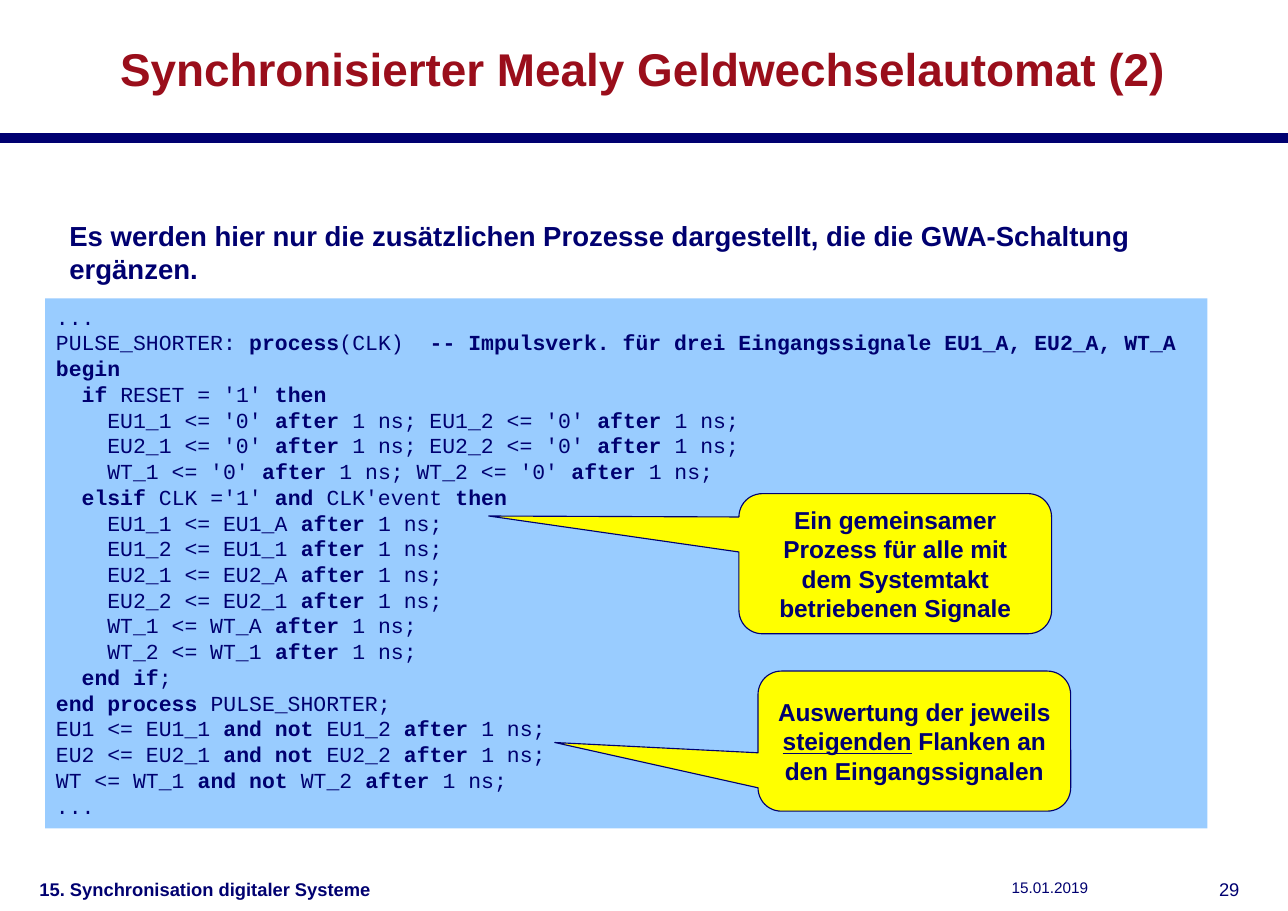
from dataclasses import dataclass

from lxml.etree import SubElement
from pptx import Presentation
from pptx.dml.color import RGBColor
from pptx.enum.shapes import MSO_CONNECTOR, MSO_SHAPE
from pptx.enum.text import MSO_ANCHOR, PP_ALIGN
from pptx.oxml.ns import qn
from pptx.shapes.base import BaseShape
from pptx.slide import Slide
from pptx.text.text import TextFrame
from pptx.util import Cm, Pt


@dataclass(frozen=True)
class Theme:
    navy: RGBColor = RGBColor(0x00, 0x00, 0x70)
    red: RGBColor = RGBColor(0x9A, 0x0E, 0x1B)
    code_fill: RGBColor = RGBColor(0x99, 0xCC, 0xFF)
    callout_fill: RGBColor = RGBColor(0xFF, 0xFF, 0x00)
    sans: str = "Arial"
    mono: str = "Courier New"
    title_size: int = 30
    body_size: int = 18
    callout_size: int = 16
    code_size: int = 14
    footer_size: int = 12
    date_size: int = 10


THEME = Theme()


@dataclass(frozen=True)
class Box:
    left: float
    top: float
    width: float
    height: float

    def lengths(self) -> tuple[Cm, Cm, Cm, Cm]:
        return Cm(self.left), Cm(self.top), Cm(self.width), Cm(self.height)


@dataclass(frozen=True)
class Style:
    size: int
    color: RGBColor = THEME.navy
    font: str = THEME.sans
    bold: bool | None = True
    align: PP_ALIGN = PP_ALIGN.LEFT
    anchor: MSO_ANCHOR = MSO_ANCHOR.TOP
    mark: str = "bold"  # run attribute switched on between asterisks


@dataclass(frozen=True)
class Label:
    text: str
    box: Box
    style: Style


@dataclass(frozen=True)
class Callout:
    text: str
    left: float
    top: float
    tip: tuple[float, float]


TITLE = Style(THEME.title_size, THEME.red, align=PP_ALIGN.CENTER,
              anchor=MSO_ANCHOR.MIDDLE)
CODE = Style(THEME.code_size, font=THEME.mono, bold=None)
CALLOUT = Style(THEME.callout_size, align=PP_ALIGN.CENTER,
                anchor=MSO_ANCHOR.MIDDLE, mark="underline")

LABELS = [
    Label("Es werden hier nur die zusätzlichen Prozesse dargestellt, "
          "die die GWA-Schaltung ergänzen.",
          Box(1.35, 4.9, 27, 1.8),
          Style(THEME.body_size, anchor=MSO_ANCHOR.MIDDLE)),
    Label("15. Synchronisation digitaler Systeme",
          Box(0.66, 20.12, 8.41, 0.89), Style(THEME.footer_size)),
    Label("15.01.2019", Box(23.08, 20.12, 4.19, 0.89),
          Style(THEME.date_size, bold=False)),
    Label("29", Box(27.64, 20.12, 1.19, 0.89),
          Style(THEME.footer_size, bold=False, align=PP_ALIGN.RIGHT)),
]

# Asterisks enclose the bold parts of the listing
LISTING = """...
PULSE_SHORTER: *process*(CLK)  *-- Impulsverk. für drei Eingangssignale EU1_A, EU2_A, WT_A*
*begin*
  *if* RESET = '1' *then*
    EU1_1 <= '0' *after* 1 ns; EU1_2 <= '0' *after* 1 ns;
    EU2_1 <= '0' *after* 1 ns; EU2_2 <= '0' *after* 1 ns;
    WT_1 <= '0' *after* 1 ns; WT_2 <= '0' *after* 1 ns;
  *elsif* CLK ='1' *and* CLK'event *then*
    EU1_1 <= EU1_A *after* 1 ns;
    EU1_2 <= EU1_1 *after* 1 ns;
    EU2_1 <= EU2_A *after* 1 ns;
    EU2_2 <= EU2_1 *after* 1 ns;
    WT_1 <= WT_A *after* 1 ns;
    WT_2 <= WT_1 *after* 1 ns;
  *end if*;
*end process* PULSE_SHORTER;
EU1 <= EU1_1 *and not* EU1_2 *after* 1 ns;
EU2 <= EU2_1 *and not* EU2_2 *after* 1 ns;
WT <= WT_1 *and not* WT_2 *after* 1 ns;
..."""

CALLOUTS = [
    Callout("Ein gemeinsamer Prozess für alle mit dem Systemtakt "
            "betriebenen Signale", 17.04, 11.38, (-1.3, -0.34)),
    Callout("Auswertung der jeweils *steigenden* Flanken an den "
            "Eingangssignalen", 17.48, 15.47, (-1.15, 0.01)),
]


def write(tf: TextFrame, text: str, style: Style) -> None:
    tf.word_wrap = True
    tf.vertical_anchor = style.anchor
    for i, line in enumerate(text.split("\n")):
        p = tf.add_paragraph() if i else tf.paragraphs[0]
        p.alignment = style.align
        p.space_before = Pt(0)
        p.font.name = style.font
        p.font.size = Pt(style.size)
        p.font.bold = style.bold
        p.font.color.rgb = style.color
        for part, content in enumerate(line.split("*")):
            if content:
                r = p.add_run()
                r.text = content
                if part % 2:
                    setattr(r.font, style.mark, True)


def add_label(s: Slide, label: Label) -> None:
    tf = s.shapes.add_textbox(*label.box.lengths()).text_frame
    write(tf, label.text, label.style)


def add_panel(s: Slide, kind: MSO_SHAPE, box: Box, fill: RGBColor,
              text: str, style: Style) -> BaseShape:
    sp = s.shapes.add_shape(kind, *box.lengths())
    sp.shadow.inherit = False
    sp.fill.solid()
    sp.fill.fore_color.rgb = fill
    sp.line.fill.background()
    write(sp.text_frame, text, style)
    return sp


def add_callout(s: Slide, callout: Callout) -> None:
    sp = add_panel(s, MSO_SHAPE.ROUNDED_RECTANGULAR_CALLOUT,
                   Box(callout.left, callout.top, 7.21, 3.23),
                   THEME.callout_fill, callout.text, CALLOUT)
    sp.line.color.rgb = THEME.navy
    sp.line.width = Pt(0.75)
    sp.adjustments[0], sp.adjustments[1] = callout.tip


def add_rule(s: Slide, y: float, width: float) -> None:
    rule = s.shapes.add_connector(MSO_CONNECTOR.STRAIGHT,
                                  Cm(0), Cm(y), Cm(width), Cm(y))
    rule.line.color.rgb = THEME.navy
    rule.line.width = Cm(0.25)
    SubElement(rule._element.spPr, qn("a:effectLst"))


def main() -> None:
    prs = Presentation()
    prs.slide_width, prs.slide_height = Cm(29.7), Cm(21)
    s = prs.slides.add_slide(prs.slide_layouts[5])

    # Title and rule
    title = s.shapes.title
    title.left, title.top, title.width, title.height = Box(
        0.64, 0.71, 28.37, 1.73).lengths()
    write(title.text_frame, "Synchronisierter Mealy Geldwechselautomat (2)", TITLE)
    add_rule(s, 3.18, 29.7)

    # Introduction and footer
    for label in LABELS:
        add_label(s, label)

    # Listing with its callouts
    add_panel(s, MSO_SHAPE.RECTANGLE, Box(1.04, 6.88, 26.8, 12.22),
              THEME.code_fill, LISTING, CODE)
    for callout in CALLOUTS:
        add_callout(s, callout)

    prs.save("out.pptx")


if __name__ == "__main__":
    main()
